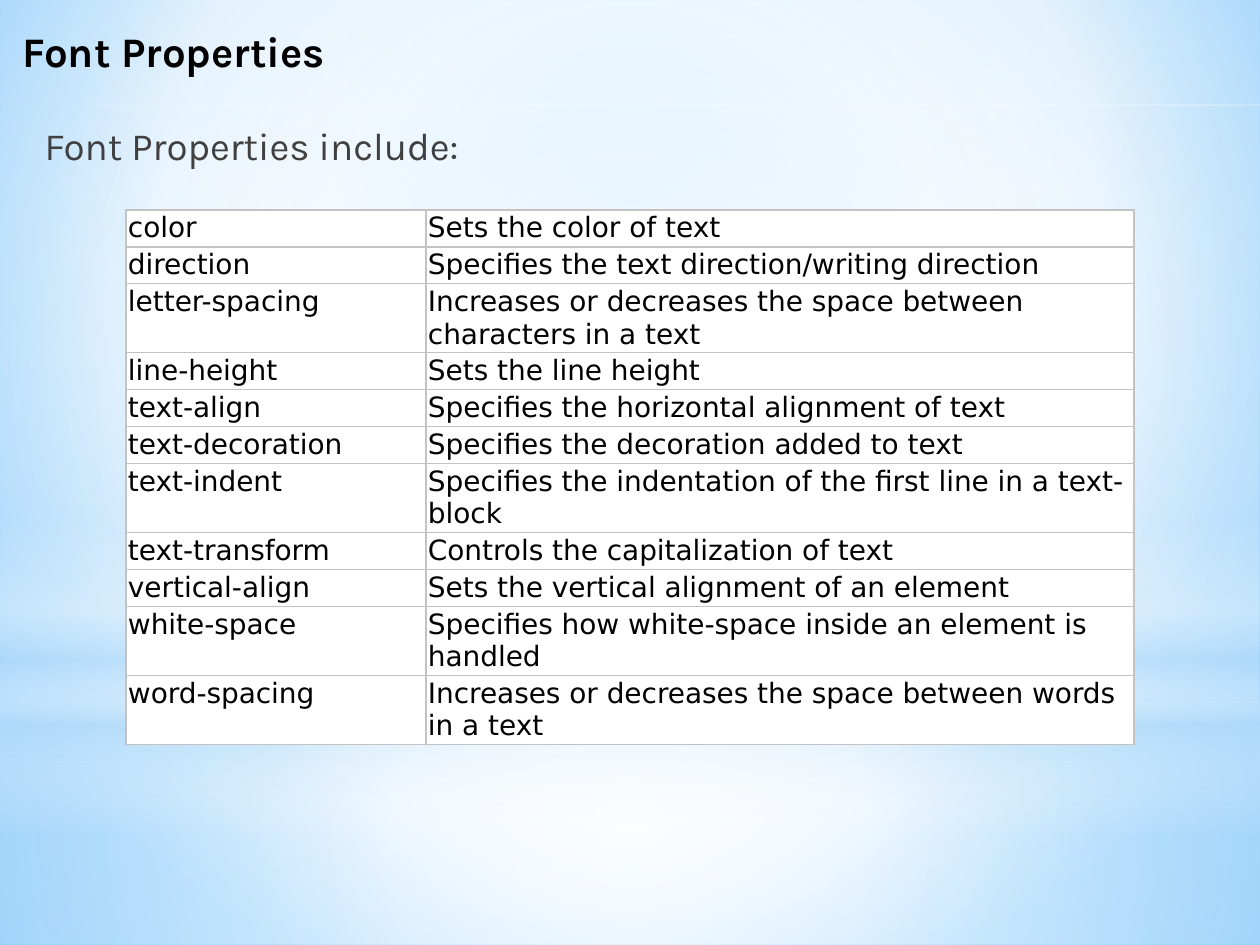
from lxml.etree import SubElement
from pptx import Presentation
from pptx.dml.color import RGBColor
from pptx.enum.shapes import MSO_SHAPE as Shape
from pptx.enum.text import MSO_ANCHOR as Anchor, PP_ALIGN as Align
from pptx.oxml import parse_xml
from pptx.oxml.ns import nsdecls, qn
from pptx.util import Pt

SCALE = 914400 / 126
COLORS = {
    "white": "FFFFFF", "black": "000000", "gray": "404040", "border": "C3C3C3",
    "sky": "9ED5FF", "blue": "5BB9FF", "pale": "B4DCFA",
}
HEADING_FONT, TABLE_FONT = "Karla", "DejaVu Sans"
CENTER = (50, 50, 50, 50)

# Bands of light: preset, box in px, stops (position, colour, opacity), focus
BANDS = [
    (Shape.RECTANGLE, (0, 703, 1260, 242),
     [(0, "white", 91), (37, "white", 76), (100, "pale", 79)], CENTER),
    (Shape.RECTANGLE, (0, 0, 1260, 703),
     [(0, "white", 89), (48, "white", 62), (100, "pale", 79)], CENTER),
    (Shape.RECTANGLE, (0, 519, 1260, 315),
     [(0, "white", 0), (29, "white", 30), (45, "pale", 40),
      (55, "white", 26), (65, "pale", 60), (100, "white", 0)], None),
    (Shape.OVAL, (0, 221, 1260, 703),
     [(0, "white", 100), (56, "white", 0)], CENTER),
]
BACKGROUND = [(0, "sky", 100), (60, "white", 100), (100, "blue", 100)]

# Property, description, lines of text in the row
PROPERTIES = [
    ("color", "Sets the color of text", 1),
    ("direction", "Specifies the text direction/writing direction", 1),
    ("letter-spacing",
     "Increases or decreases the space between characters in a text", 2),
    ("line-height", "Sets the line height", 1),
    ("text-align", "Specifies the horizontal alignment of text", 1),
    ("text-decoration", "Specifies the decoration added to text", 1),
    ("text-indent",
     "Specifies the indentation of the first line in a text-block", 2),
    ("text-transform", "Controls the capitalization of text", 1),
    ("vertical-align", "Sets the vertical alignment of an element", 1),
    ("white-space", "Specifies how white-space inside an element is handled", 2),
    ("word-spacing",
     "Increases or decreases the space between words in a text", 2),
]


def px(length):
    return round(length * SCALE)


def color(name):
    return RGBColor.from_string(COLORS[name])


def write(frame, text, font, size, ink, bold=False, after=0):
    para = frame.paragraphs[0]
    para.alignment = Align.LEFT
    para.space_after = Pt(after)
    span = para.add_run()
    span.text = text
    span.font.name, span.font.size, span.font.bold = font, Pt(size), bold
    span.font.color.rgb = color(ink)
    return para


def set_gradient(properties, stops, focus):
    """Replace a solid fill by a circular gradient, or a vertical one."""
    gradient = parse_xml(f'<a:gradFill {nsdecls("a")} rotWithShape="1"/>')
    stop_list = SubElement(gradient, qn("a:gsLst"))
    for position, name, opacity in stops:
        stop = SubElement(stop_list, qn("a:gs"), pos=str(position * 1000))
        tint = SubElement(stop, qn("a:srgbClr"), val=COLORS[name])
        SubElement(tint, qn("a:alpha"), val=str(opacity * 1000))
    if focus:
        circle = SubElement(gradient, qn("a:path"), path="circle")
        sides = {side: str(part * 1000) for side, part in zip("ltrb", focus)}
        SubElement(circle, qn("a:fillToRect"), **sides)
    else:
        SubElement(gradient, qn("a:lin"), ang="5400000", scaled="0")
    properties.replace(properties.find(qn("a:solidFill")), gradient)


def add_block(page, preset, box):
    block = page.shapes.add_shape(preset, *map(px, box))
    block.shadow.inherit = False
    block.fill.solid()
    block.fill.fore_color.rgb = color("white")
    block.line.fill.background()
    return block


def place(holder, box, anchor):
    """Position a placeholder and bring it in front of the backdrop."""
    holder.left, holder.top, holder.width, holder.height = map(px, box)
    holder.text_frame.vertical_anchor = anchor
    holder.element.getparent().append(holder.element)
    return holder.text_frame


def set_borders(cell):
    for index, side in enumerate(("lnL", "lnR", "lnT", "lnB")):
        cell._tc.get_or_add_tcPr().insert(index, parse_xml(
            f'<a:{side} {nsdecls("a")} w="9525"><a:solidFill>'
            f'<a:srgbClr val="{COLORS["border"]}"/></a:solidFill></a:{side}>'))


def add_property_table(page):
    heights = [px(37 if lines == 1 else 69) for *_, lines in PROPERTIES]
    table = page.shapes.add_table(
        len(PROPERTIES), 2, px(126), px(210), px(1008), sum(heights)).table
    table.first_row = table.horz_banding = False
    for column, width in zip(table.columns, (300, 708)):
        column.width = px(width)
    for row, height, texts in zip(table.rows, heights, PROPERTIES):
        row.height = height
        for cell, text in zip(row.cells, texts):
            cell.margin_left = cell.margin_right = px(2)
            cell.margin_top = cell.margin_bottom = px(2)
            cell.fill.solid()
            cell.fill.fore_color.rgb = color("white")
            set_borders(cell)
            write(cell.text_frame, text, TABLE_FONT, 16, "black")


def main():
    deck = Presentation()
    deck.slide_width, deck.slide_height = px(1260), px(945)
    page = deck.slides.add_slide(deck.slide_layouts[1])

    # Backdrop
    page.background.fill.solid()
    set_gradient(page.element.find(".//" + qn("p:bgPr")), BACKGROUND,
                 (20, 10, 20, 60))
    for preset, box, stops, focus in BANDS:
        band = add_block(page, preset, box)
        set_gradient(band.element.spPr, stops, focus)

    # Title and lead-in
    title, body = page.placeholders
    write(place(title, (10, 21, 1187, 59), Anchor.MIDDLE),
          "Font Properties", HEADING_FONT, 24, "black", bold=True)
    lead = write(place(body, (32, 116, 1197, 777), Anchor.TOP),
                 "Font Properties include:", HEADING_FONT, 22, "gray", after=3)
    bullet_free = lead._p.get_or_add_pPr()
    bullet_free.set("marL", "0")
    bullet_free.set("indent", "0")
    SubElement(bullet_free, qn("a:buNone"))

    # Rules under the title, running to the right edge
    for left in (95, 307):
        add_block(page, Shape.RECTANGLE, (left, 105, 1260 - left, 0))

    add_property_table(page)
    deck.save("out.pptx")


if __name__ == "__main__":
    main()
